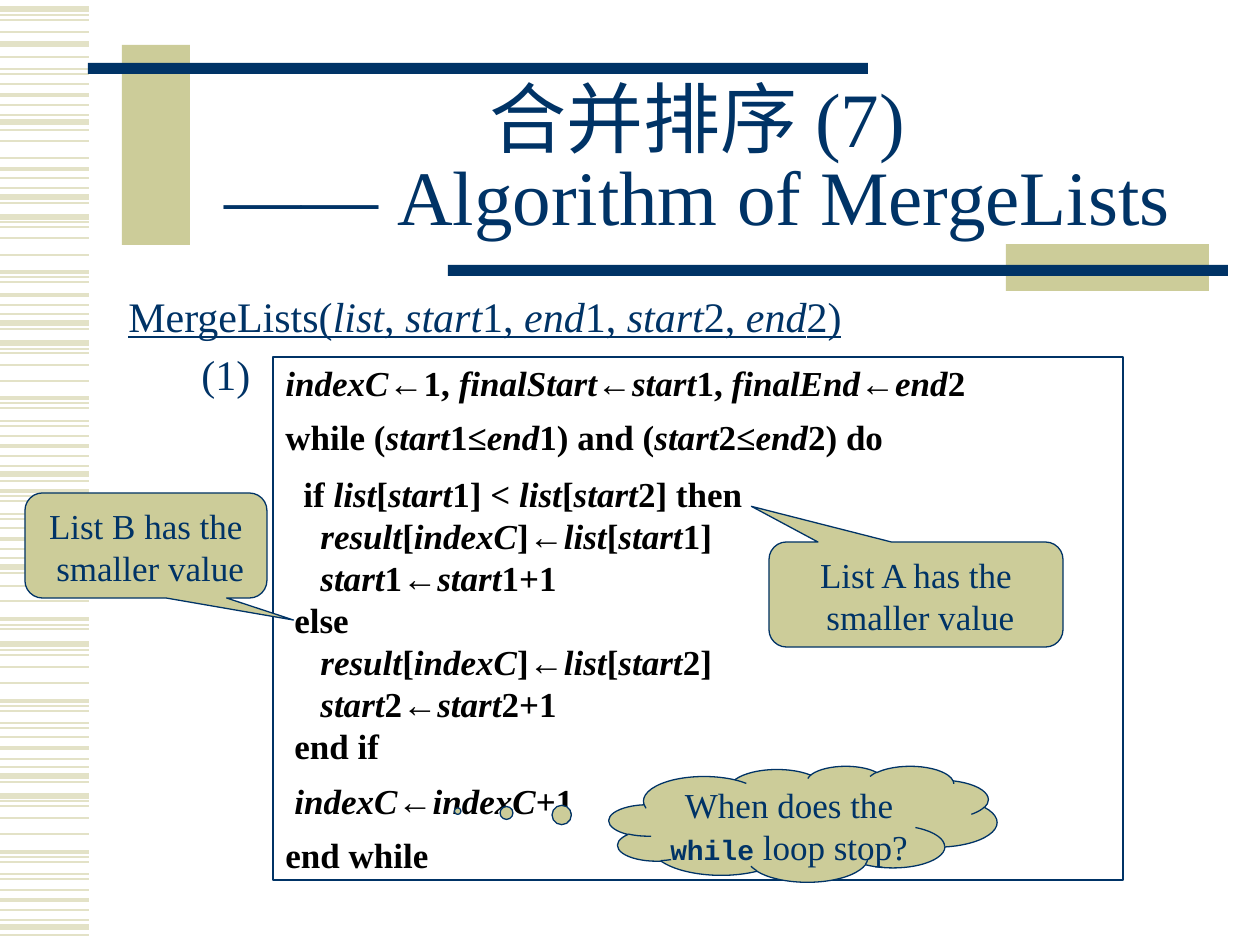
import pptx
import pptx.util
import pptx.dml.color
import pptx.enum.shapes
import pptx.enum.text
import lxml.etree

SCALE = 914400 // 126
NAVY = pptx.dml.color.RGBColor(0x00, 0x33, 0x66)
KHAKI = pptx.dml.color.RGBColor(0xCC, 0xCC, 0x99)
PALE = pptx.dml.color.RGBColor(0xE3, 0xE2, 0xC7)
BLACK = pptx.dml.color.RGBColor(0, 0, 0)
WHITE = pptx.dml.color.RGBColor(255, 255, 255)
SERIF = "Times New Roman"
MONO = "Courier New"
SHAPES = pptx.enum.shapes.MSO_SHAPE
CENTER = pptx.enum.text.PP_ALIGN.CENTER
LEFT = pptx.enum.text.PP_ALIGN.LEFT
TOP = pptx.enum.text.MSO_ANCHOR.TOP
MIDDLE = pptx.enum.text.MSO_ANCHOR.MIDDLE
DRAWING = "http://schemas.openxmlformats.org/drawingml/2006/main"

STRIPES = {
    0.75: [15, 69, 115, 188, 222, 277, 314, 349, 403, 421, 466, 496, 514, 558,
           625, 650, 706, 723, 767, 801, 857, 874, 920],
    1: [20, 32, 84, 141, 158, 227, 238, 255, 353, 365, 381, 436, 528, 586, 601,
        655, 667, 683, 737, 806, 818, 834, 890],
    1.5: [57, 74, 105, 130, 178, 203, 282, 305, 329, 408, 426, 456, 481, 501,
          519, 549, 573, 629, 711, 728, 759, 782, 862, 879, 910, 935],
    2.25: [95, 169, 272, 295, 398, 446, 491, 539, 619, 701, 748, 852, 900],
    3: [9, 44, 122, 197, 217, 323, 343, 474, 567, 644, 776, 796, 927],
}
BARS = [
    ((122, 45, 68, 200), KHAKI),
    ((88, 63, 780, 11), NAVY),
    ((1006, 244, 203, 47), KHAKI),
    ((448, 265, 780, 11), NAVY),
]
# Each code line: indent in pixels, space before in points, text with *italic* marks
CODE = [
    (0, 0, "*indexC←*1, *finalStart←start*1, *finalEnd←end*2"),
    (0, 7.2, "while (*start*1≤*end*1) and (*start*2≤*end*2) do"),
    (18, 8.4, "if *list*[*start*1] < *list*[*start*2] then"),
    (35, 0, "*result*[*indexC*]*←list*[*start*1]"),
    (35, 0, "*start*1*←start*1+1"),
    (9, 0, "else"),
    (35, 0, "*result*[*indexC*]*←list*[*start*2]"),
    (35, 0, "*start*2*←start*2+1"),
    (9, 0, "end if"),
    (9, 7.2, "*indexC←indexC*+1"),
    (0, 7.2, "end while"),
]


def px(*lengths):
    """Turn pixel lengths into EMU."""
    return [pptx.util.Emu(length * SCALE) for length in lengths]


def style(span, size, color, name=SERIF, bold=False):
    """Set the font of one run."""
    span.font.name = name
    span.font.size = pptx.util.Pt(size)
    span.font.bold = bold
    span.font.color.rgb = color


def add_marked(para, marked, size, color, bold=False, underline=False):
    """Add runs to a paragraph, with italics between asterisks."""
    for index, piece in enumerate(marked.split("*")):
        if piece:
            span = para.add_run()
            span.text = piece
            style(span, size, color, bold=bold)
            span.font.italic = index % 2 == 1
            span.font.underline = underline


def add_indent(para, pixels):
    """Indent a whole paragraph."""
    para._p.get_or_add_pPr().set("marL", str(pixels * SCALE))


def next_para(frame, index):
    """Return the first paragraph of a frame, or a new one."""
    return frame.add_paragraph() if index else frame.paragraphs[0]


def add_panel(page, kind, box, fill, outline=True):
    """Add a flat filled shape with an optional navy outline."""
    panel = page.shapes.add_shape(kind, *px(*box))
    panel.shadow.inherit = False
    panel.fill.solid()
    panel.fill.fore_color.rgb = fill
    if outline:
        panel.line.color.rgb = NAVY
        panel.line.width = pptx.util.Pt(0.75)
    else:
        panel.line.fill.background()
    return panel


def add_stripes(page, box):
    """Draw the pale stripes down the left margin."""
    left, top, width, _ = box
    for weight, offsets in STRIPES.items():
        for offset in offsets:
            y = top + offset
            stripe = page.shapes.add_connector(
                pptx.enum.shapes.MSO_CONNECTOR.STRAIGHT, *px(left, y, left + width, y))
            stripe.line.color.rgb = PALE
            stripe.line.width = pptx.util.Pt(weight)
            lxml.etree.SubElement(stripe._element.spPr, "{%s}effectLst" % DRAWING)


def add_title(page, box):
    """Add the two-line slide title."""
    frame = page.shapes.add_textbox(*px(*box)).text_frame
    frame.word_wrap = True
    frame.vertical_anchor = MIDDLE
    frame.text = "合并排序 (7)\v—— Algorithm of MergeLists"
    para = frame.paragraphs[0]
    para.alignment = CENTER
    para.line_spacing = 0.85
    for span in para.runs:
        style(span, 44, NAVY)


def add_signature(page, box):
    """Add the underlined signature and the step number."""
    frame = page.shapes.add_textbox(*px(*box)).text_frame
    frame.word_wrap = True
    signature = "MergeLists(*list*, *start*1, *end*1, *start*2, *end*2)"
    for index, (text, indent) in enumerate([(signature, 0), ("(1)", 73)]):
        para = next_para(frame, index)
        para.space_before = pptx.util.Pt(4.8)
        add_indent(para, indent)
        add_marked(para, text, 24, NAVY, underline=index == 0)


def add_code(page, box):
    """Add the framed pseudocode."""
    frame = add_panel(page, SHAPES.RECTANGLE, box, WHITE).text_frame
    frame.word_wrap = True
    frame.vertical_anchor = MIDDLE
    for index, (indent, gap, text) in enumerate(CODE):
        para = next_para(frame, index)
        para.alignment = LEFT
        para.space_before = pptx.util.Pt(gap)
        add_indent(para, indent)
        add_marked(para, text, 20, BLACK, bold=True)


def add_callout(page, kind, box, tail, inset, lines):
    """Add a callout whose lines are lists of text, size, font and bold."""
    callout = add_panel(page, kind, box, KHAKI)
    callout.adjustments[0], callout.adjustments[1] = tail
    frame = callout.text_frame
    frame.word_wrap = True
    frame.vertical_anchor = TOP
    frame.margin_left = frame.margin_right = 0
    frame.margin_top = frame.margin_bottom = pptx.util.Inches(inset)
    for index, pieces in enumerate(lines):
        para = next_para(frame, index)
        para.alignment = CENTER
        for text, size, name, bold in pieces:
            span = para.add_run()
            span.text = text
            style(span, size, NAVY, name, bold)


def build_slide(page):
    """Place every region of the slide."""
    add_stripes(page, (0, 0, 89, 945))
    for box, fill in BARS:
        add_panel(page, SHAPES.RECTANGLE, box, fill, outline=False)
    add_title(page, (189, 84, 1017, 158))
    add_signature(page, (116, 284, 1096, 609))
    add_code(page, (273, 357, 850, 523))
    for name, box, tail in [("A", (769, 542, 294, 105), (-0.56, -0.84)),
                            ("B", (25, 493, 242, 105), (0.61, 0.71))]:
        lines = [[(text, 20, SERIF, False)]
                 for text in (f"List {name} has the", " smaller value")]
        add_callout(page, SHAPES.ROUNDED_RECTANGULAR_CALLOUT, box, tail, 0.05, lines)
    question = [("When does the ", 20, SERIF, False), ("while", 16, MONO, True),
                (" loop stop?", 20, SERIF, False)]
    add_callout(page, SHAPES.CLOUD_CALLOUT, (609, 766, 388, 116), (-0.89, -0.11), 0, [question])


deck = pptx.Presentation()
deck.slide_width, deck.slide_height = px(1260, 945)
build_slide(deck.slides.add_slide(deck.slide_layouts[6]))
deck.save("out.pptx")
